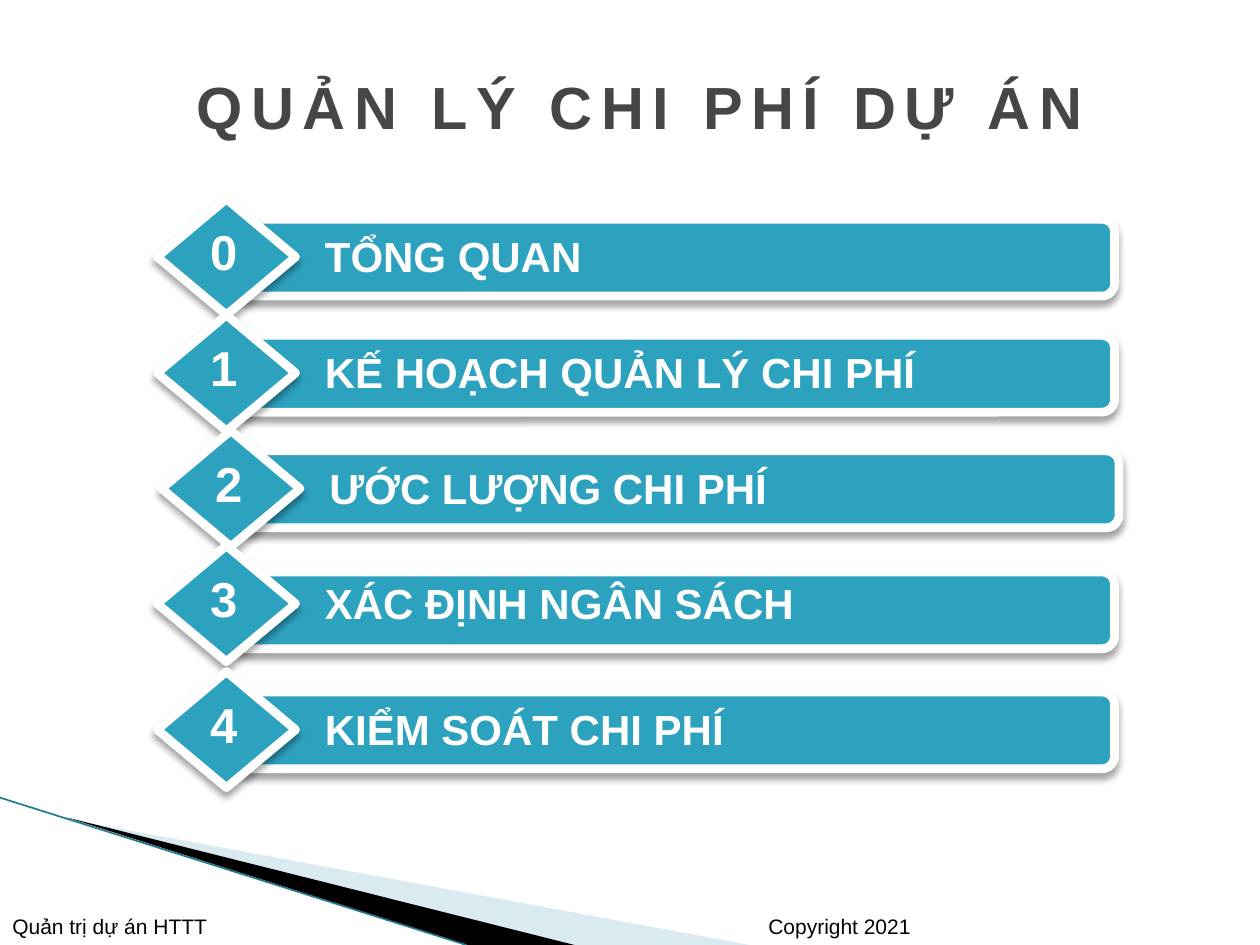
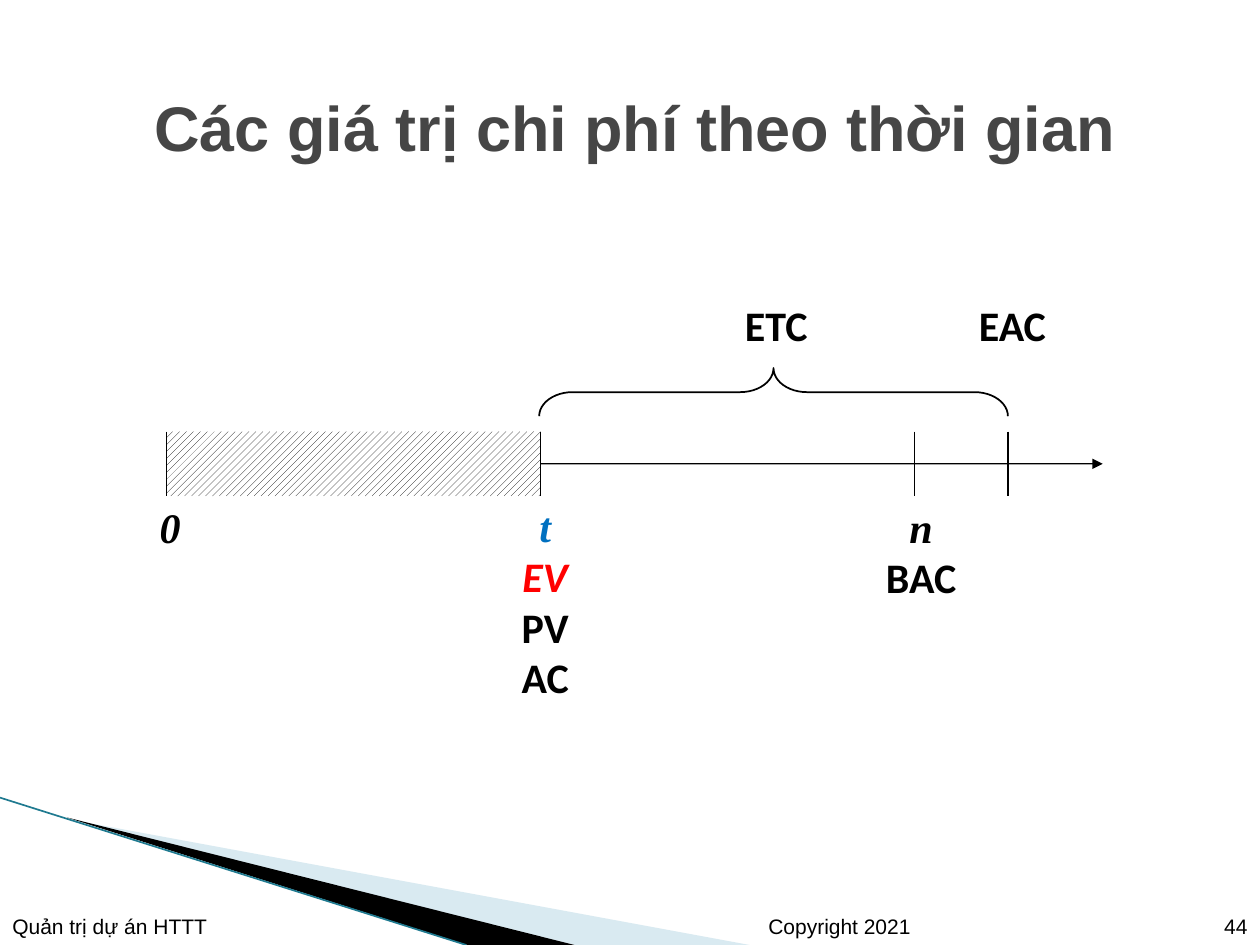
from lxml import etree
from pptx import Presentation
from pptx import util as u
from pptx.dml import color
from pptx.enum import dml, shapes, text
from pptx.oxml import ns

BLACK = "000000"
WHITE = "FFFFFF"
GREY = "464646"
TEAL = "2DA2BF"
PALE = "A0CBDC"
EDGE = "1F7A90"
RED = "FF0000"
BLUE = "0070C0"
SANS = "Arial"
LABEL = "Calibri"
SERIF = "Times New Roman"
LEFT = text.PP_ALIGN.LEFT
CENTER = text.PP_ALIGN.CENTER
RIGHT = text.PP_ALIGN.RIGHT


def rgb(value):
    return color.RGBColor.from_string(value)


def child(parent, tag, **attributes):
    return etree.SubElement(parent, ns.qn(tag), attributes)


def box(*lengths):
    return [u.Cm(length) for length in lengths]


class Deck:
    def __init__(self):
        self.prs = Presentation()
        self.prs.slide_width, self.prs.slide_height = box(25.4, 19.05)
        self.layout = self.prs.slide_layouts[5]
        self.slide = None
        self.canvas = None

    def new_slide(self):
        self.slide = self.prs.slides.add_slide(self.layout)
        self.canvas = self.slide.shapes

    def begin_group(self):
        self.canvas = self.slide.shapes.add_group_shape().shapes

    def move_to_layout(self, *parts):
        for part in parts:
            self.layout.shapes.element.append(part.element)

    def paint(self, shape, fill=None, line=None, width=1, alpha=None, shadow=False):
        if fill:
            shape.fill.solid()
            shape.fill.fore_color.rgb = rgb(fill)
        else:
            shape.fill.background()
        if alpha:
            tint = shape.element.spPr.find(".//" + ns.qn("a:srgbClr"))
            child(tint, "a:alpha", val=str(alpha * 1000))
        if line:
            shape.line.color.rgb = rgb(line)
            shape.line.width = u.Pt(width)
        else:
            shape.line.fill.background()
        shape.shadow.inherit = False
        if shadow:
            effects = shape.element.spPr.find(ns.qn("a:effectLst"))
            outer = child(effects, "a:outerShdw", blurRad=str(u.Pt(4)),
                          dist=str(u.Pt(3)), dir="5400000", rotWithShape="0")
            child(child(outer, "a:srgbClr", val=BLACK), "a:alpha", val="35000")
        return shape

    def preset(self, kind, place, **paint):
        return self.paint(self.canvas.add_shape(kind, *box(*place)), **paint)

    def outline(self, points, **paint):
        corners = [box(*point) for point in points]
        builder = self.canvas.build_freeform(*corners[0], scale=1.0)
        builder.add_line_segments(corners[1:], close=True)
        return self.paint(builder.convert_to_shape(), **paint)

    def line(self, start, end, ink=BLACK, width=0.75, arrow=False):
        link = self.canvas.add_connector(
            shapes.MSO_CONNECTOR.STRAIGHT, *box(*start, *end))
        link.line.color.rgb = rgb(ink)
        link.line.width = u.Pt(width)
        properties = link.element.spPr
        if arrow:
            child(properties.find(ns.qn("a:ln")), "a:tailEnd", type="triangle")
        child(properties, "a:effectLst")
        return link

    def style(self, paragraph, size, ink, face=SANS, bold=False, italic=False,
              align=LEFT):
        paragraph.alignment = align
        font = paragraph.font
        font.size, font.name = u.Pt(size), face
        font.bold, font.italic = bold, italic
        font.color.rgb = rgb(ink)

    def label(self, place, lines, size, align=LEFT, wrap=True,
              anchor=text.MSO_ANCHOR.TOP):
        area = self.canvas.add_textbox(*box(*place))
        frame = area.text_frame
        frame.word_wrap = wrap
        frame.vertical_anchor = anchor
        for index, (words, look) in enumerate(lines):
            paragraph = frame.add_paragraph() if index else frame.paragraphs[0]
            paragraph.text = words
            self.style(paragraph, size, align=align, **look)
        return area

    def footer(self, words, left, width, align=LEFT):
        return self.label((left, 18.03, width, 1.02), [(words, dict(ink=BLACK))], 12,
                          align, anchor=text.MSO_ANCHOR.BOTTOM)

    def title(self, words, place, size, spacing=0):
        heading = self.slide.shapes.title
        heading.left, heading.top, heading.width, heading.height = box(*place)
        frame = heading.text_frame
        frame.text = words
        frame.auto_size = text.MSO_AUTO_SIZE.NONE
        frame.vertical_anchor = text.MSO_ANCHOR.MIDDLE
        paragraph = frame.paragraphs[0]
        self.style(paragraph, size, GREY, bold=True, align=CENTER)
        if spacing:
            defaults = paragraph._p.find(".//" + ns.qn("a:defRPr"))
            defaults.set("spc", str(spacing * 100))

    def template(self):
        self.move_to_layout(
            self.outline([(1.4, 16.52), (15.11, 19.05), (11.58, 19.05)],
                         fill=PALE, alpha=40),
            self.outline([(1.35, 16.48), (11.58, 19.05), (9.42, 19.05)], fill=BLACK),
            self.line((0, 16.08), (9.4, 19.05), EDGE, 0.95),
            self.footer("Copyright 2021", 15.24, 4.45))

    def agenda_row(self, number, topic, top, bar_top, shift):
        self.begin_group()
        frame = dict(fill=TEAL, line=WHITE, width=5, shadow=True)
        look = dict(ink=WHITE, bold=True)
        self.preset(shapes.MSO_SHAPE.ROUNDED_RECTANGLE,
                    (4.72 + shift, bar_top, 17.75, 1.55), **frame)
        self.preset(shapes.MSO_SHAPE.DIAMOND, (3.17 + shift, top, 2.79, 2.34), **frame)
        self.label((6.3 + shift, top + 0.52, 18, 1.3), [(topic, look)], 24)
        self.label((3.99 + shift, top + 0.33, 1.07, 1.78), [(str(number), look)], 28,
                   CENTER, wrap=False)


def agenda(deck):
    deck.new_slide()
    deck.template()
    deck.title("QUẢN LÝ CHI PHÍ DỰ ÁN", (2.11, 0.89, 21.59, 2.49), 34, spacing=5)
    topics = [
        ("TỔNG QUAN", 4.01, 4.42, 0),
        ("KẾ HOẠCH QUẢN LÝ CHI PHÍ", 6.35, 6.76, 0),
        ("ƯỚC LƯỢNG CHI PHÍ", 8.68, 9.09, 0.09),
        ("XÁC ĐỊNH NGÂN SÁCH", 11, 11.53, 0),
        ("KIỂM SOÁT CHI PHÍ", 13.54, 13.95, 0),
    ]
    for number, topic in enumerate(topics):
        deck.agenda_row(number, *topic)
    deck.canvas = deck.slide.shapes
    deck.footer("Quản trị dự án HTTT", 0, 7.19)


def cost_timeline(deck):
    deck.new_slide()
    deck.title("Các giá trị chi phí theo thời gian", (0.64, 1.07, 24.33, 2.97), 36)
    deck.footer("Quản trị dự án HTTT", 0, 7.19)
    deck.footer("44", 23.85, 1.55, RIGHT)

    start, now, planned_end, new_end = 3.35, 10.9, 18.44, 20.32
    tick_top, axis_y, tick_bottom = 8.7, 9.35, 10
    axis = deck.line((start, axis_y), (22.23, axis_y), arrow=True)
    elapsed = deck.preset(shapes.MSO_SHAPE.RECTANGLE,
                          (start, tick_top, now - start, tick_bottom - tick_top))
    elapsed.fill.patterned()
    elapsed.fill.pattern = dml.MSO_PATTERN.WIDE_UPWARD_DIAGONAL
    elapsed.fill.fore_color.rgb = rgb(BLACK)
    elapsed.fill.back_color.rgb = rgb(WHITE)
    axis.begin_connect(elapsed, 1)
    for moment in (start, now, planned_end, new_end):
        deck.line((moment, tick_top), (moment, tick_bottom))

    remaining = deck.preset(shapes.MSO_SHAPE.RIGHT_BRACE, (15.11, 3.18, 0.97, 9.45),
                            line=BLACK)
    remaining.adjustments[0] = 0.694
    remaining.rotation = 270

    moment_look = dict(ink=BLACK, face=SERIF, bold=True, italic=True)
    value_look = dict(ink=BLACK, face=LABEL, bold=True)
    deck.label((8.36, 9.96, 5.26, 6.99), [
        ("t", {**moment_look, "ink": BLUE}),
        ("EV", {**value_look, "ink": RED, "italic": True}),
        ("PV", value_look),
        ("AC", value_look),
    ], 24, CENTER)
    deck.label((2.97, 9.98, 1.63, 2.57), [("0", moment_look)], 24)
    deck.label((16.36, 9.98, 4.42, 5.13), [("n", moment_look), ("BAC", value_look)],
               24, CENTER)
    deck.label((12.88, 5.92, 5.54, 2.34), [("ETC", value_look)], 24, CENTER)
    deck.label((17.96, 5.92, 4.9, 2.34), [("EAC", value_look)], 24, CENTER)


def main():
    deck = Deck()
    agenda(deck)
    cost_timeline(deck)
    deck.prs.save("out.pptx")


if __name__ == "__main__":
    main()
